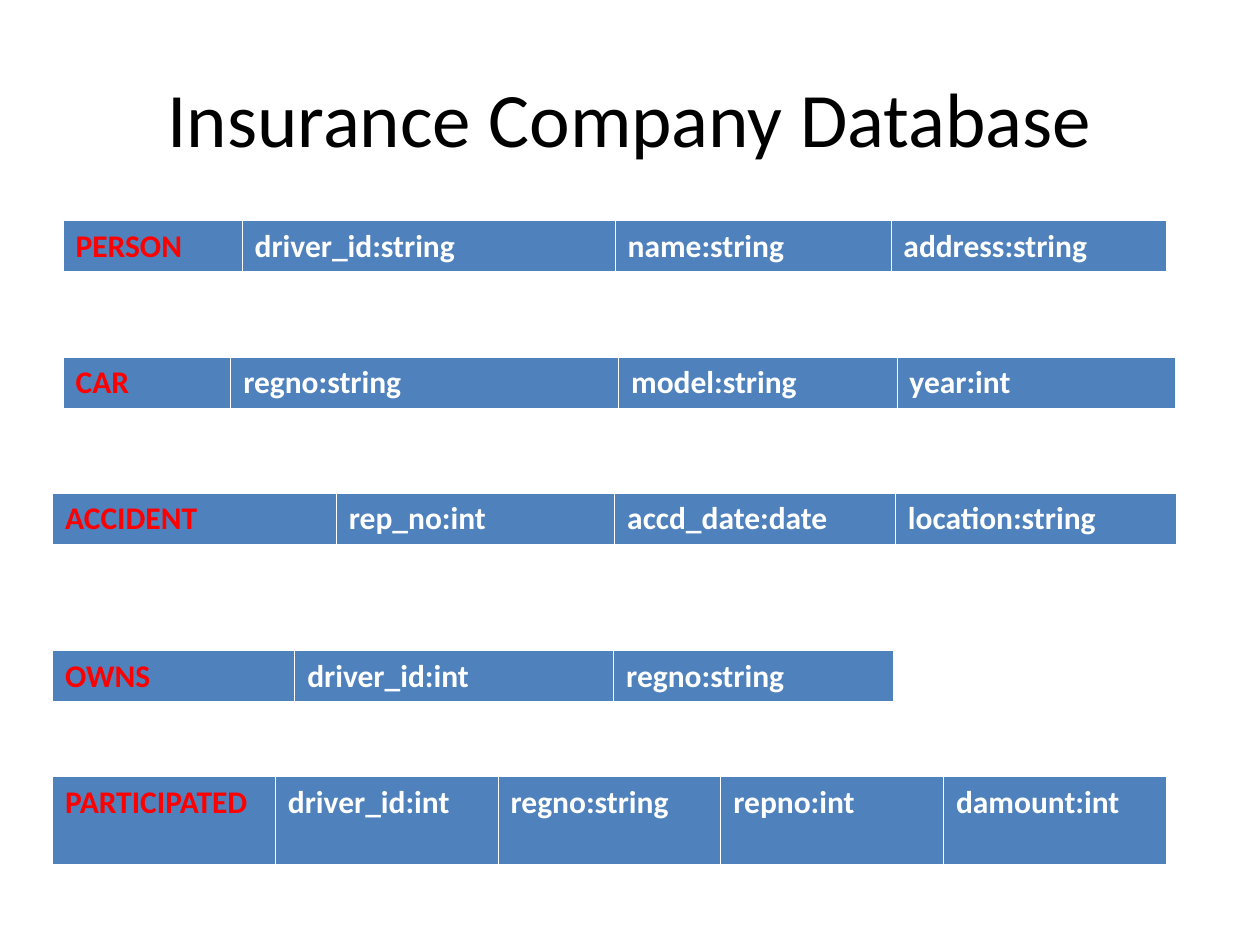
from lxml import etree
from pptx import Presentation
from pptx import util as u
from pptx.dml.color import RGBColor
from pptx.enum import text
from pptx.oxml import ns

BLACK = RGBColor(0x00, 0x00, 0x00)
WHITE = RGBColor(0xFF, 0xFF, 0xFF)
RED = RGBColor(0xFF, 0x00, 0x00)
BLUE = RGBColor(0x4F, 0x81, 0xBD)

EDGES = {"lnL": 0.45, "lnR": 0.45, "lnT": 0.45, "lnB": 1.47}
NEAR, FAR = 1.06, 1.27
LOW, TALL = 1.04, 1.78

TABLES = [
    (FAR, 4.45, LOW, [3.61, 7.52, 5.56, 5.56],
     ["PERSON", "driver_id:string", "name:string", "address:string"]),
    (FAR, 7.2, LOW, [3.38, 7.82, 5.61, 5.61],
     ["CAR", "regno:string", "model:string", "year:int"]),
    (NEAR, 9.95, LOW, [5.72, 5.61, 5.66, 5.66],
     ["ACCIDENT", "rep_no:int", "accd_date:date", "location:string"]),
    (NEAR, 13.12, LOW, [4.88, 6.43, 5.64],
     ["OWNS", "driver_id:int", "regno:string"]),
    (NEAR, 15.66, TALL, [4.49] * 5,
     ["PARTICIPATED", "driver_id:int", "regno:string", "repno:int", "damount:int"]),
]


def apply(item, values):
    for name, value in values.items():
        setattr(item, name, value)


class Deck:
    face = "Calibri"

    def __init__(self):
        self.show = Presentation()
        apply(self.show, {"slide_width": u.Cm(25.4), "slide_height": u.Cm(19.05)})
        self.slide = self.show.slides.add_slide(self.show.slide_layouts[5])

    def label(self, frame, words, size, color, bold=False):
        run = frame.paragraphs[0].add_run()
        run.text = words
        apply(run.font, {"name": self.face, "size": u.Pt(size), "bold": bold})
        run.font.color.rgb = color

    def title(self, words):
        box = self.slide.shapes.title
        apply(box, {"left": u.Cm(1.27), "top": u.Cm(0.76),
                    "width": u.Cm(22.86), "height": u.Cm(3.18)})
        frame = box.text_frame
        apply(frame, {"vertical_anchor": text.MSO_ANCHOR.MIDDLE, "word_wrap": True})
        frame.paragraphs[0].alignment = text.PP_ALIGN.CENTER
        self.label(frame, words, 44, BLACK)

    def border(self, cell):
        props = cell._tc.get_or_add_tcPr()
        for edge, width in EDGES.items():
            line = etree.SubElement(props, ns.qn("a:" + edge), w=str(u.Pt(width)))
            fill = etree.SubElement(line, ns.qn("a:solidFill"))
            etree.SubElement(fill, ns.qn("a:srgbClr"), val=str(WHITE))

    def table(self, left, top, height, widths, names):
        grid = self.slide.shapes.add_table(
            1, len(names), u.Cm(left), u.Cm(top),
            u.Cm(sum(widths)), u.Cm(height)).table
        for index, (width, name) in enumerate(zip(widths, names)):
            grid.columns[index].width = u.Cm(width)
            cell = grid.cell(0, index)
            self.border(cell)
            cell.fill.solid()
            cell.fill.fore_color.rgb = BLUE
            color = WHITE if index else RED
            self.label(cell.text_frame, name, 18, color, bold=True)

    def save(self):
        self.show.save("out.pptx")


def main():
    deck = Deck()
    deck.title("Insurance Company Database")
    for entry in TABLES:
        deck.table(*entry)
    deck.save()


if __name__ == "__main__":
    main()
